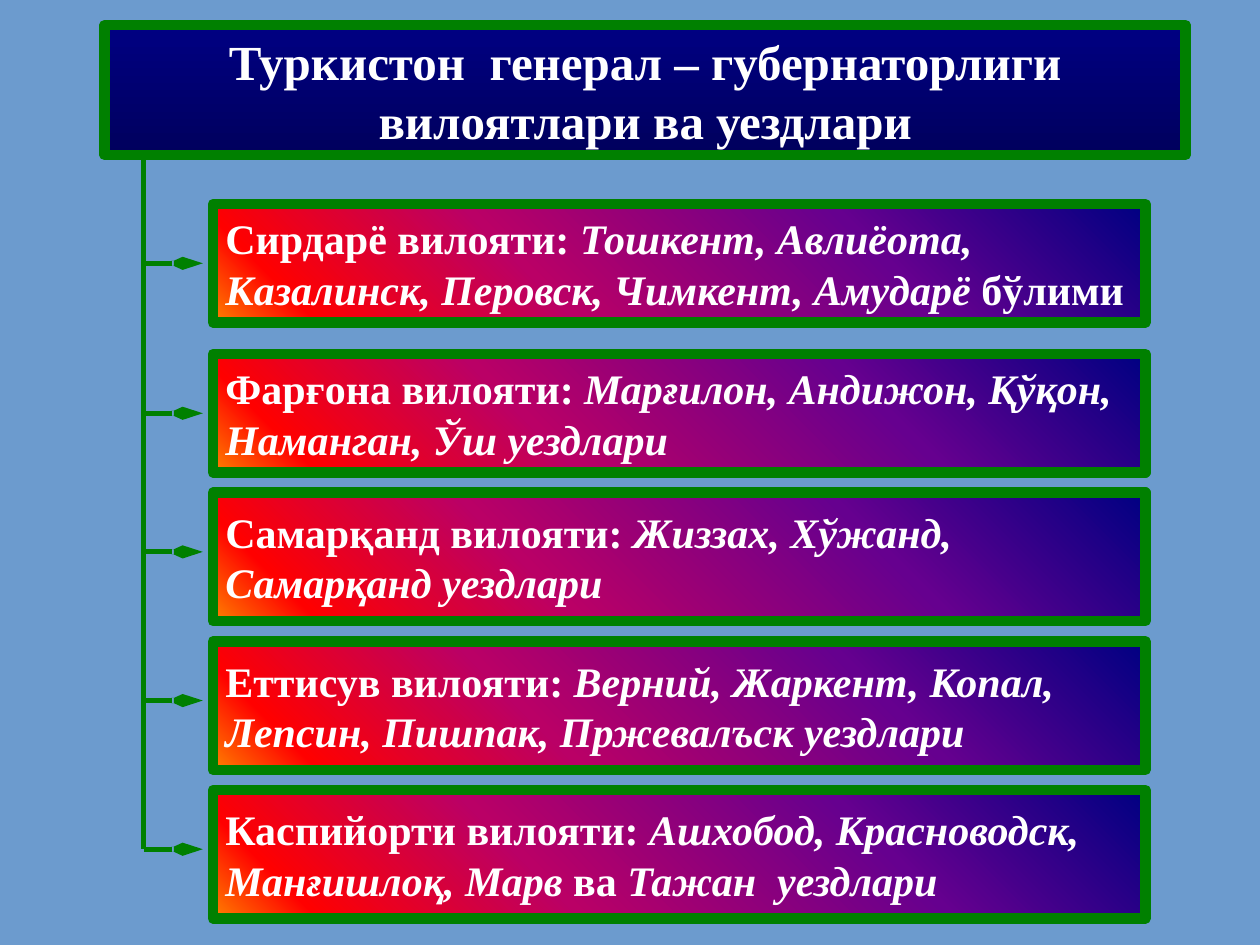
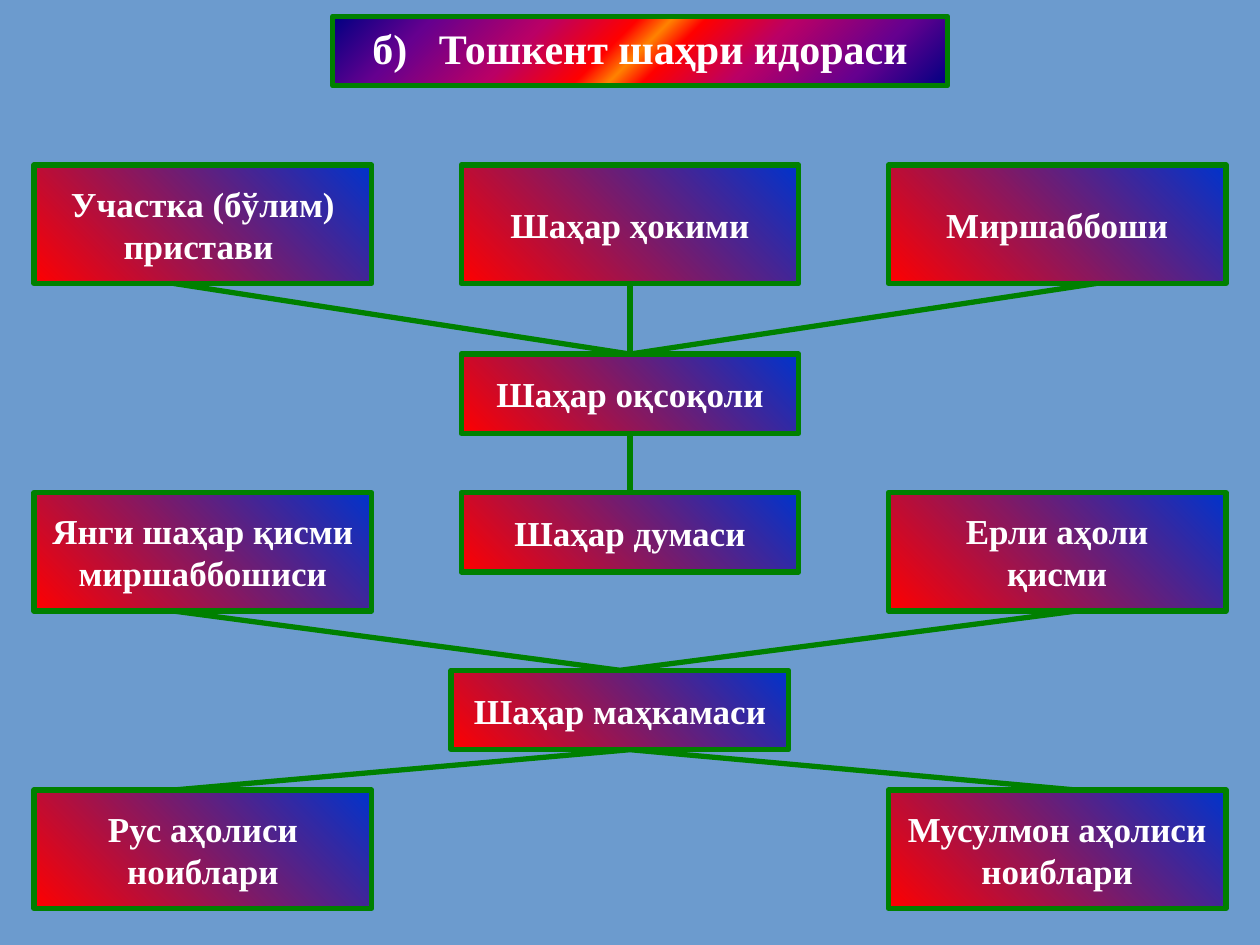
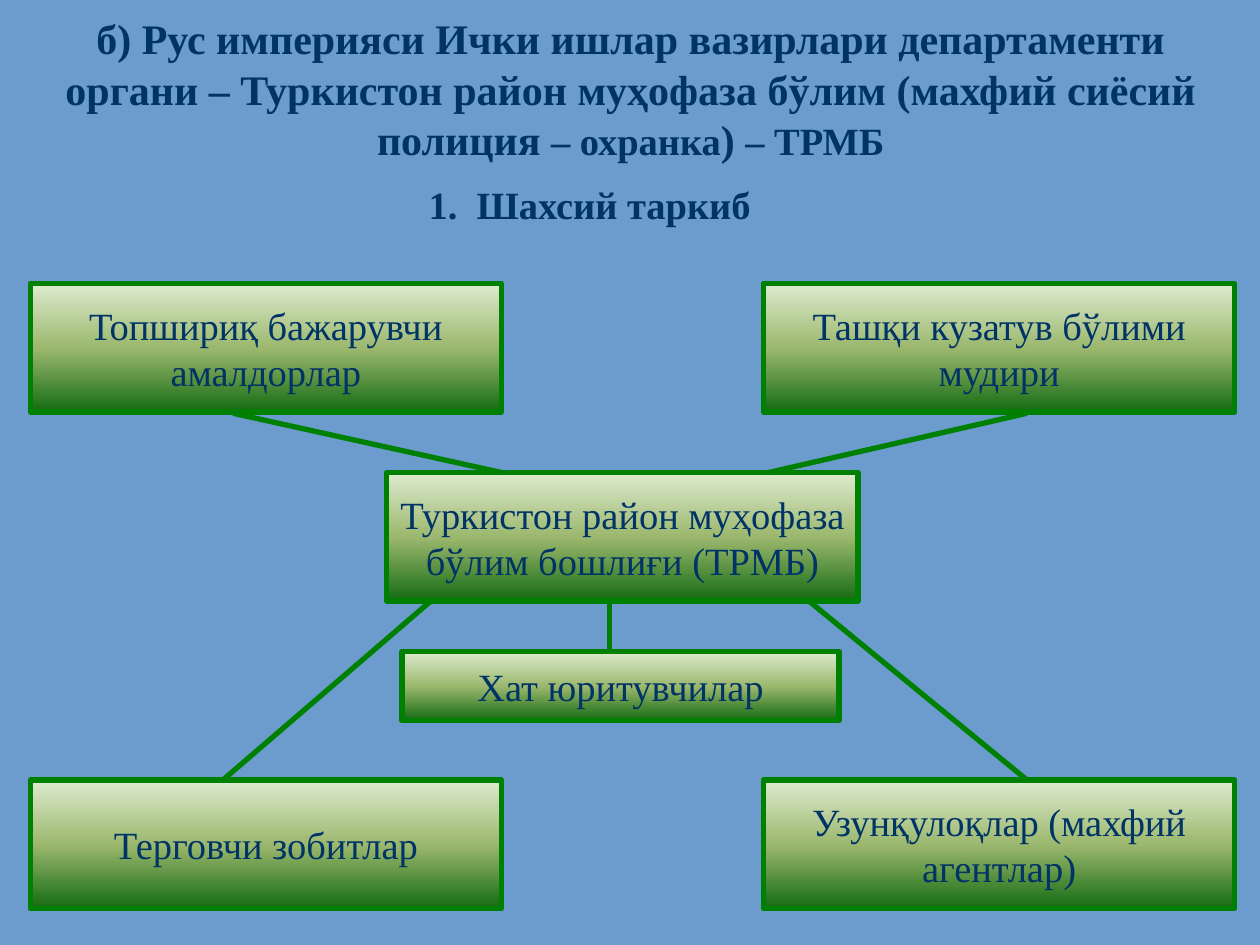
from lxml import etree
from pptx import Presentation
from pptx.dml.color import RGBColor
from pptx.enum import shapes, text
from pptx.oxml.ns import qn
from pptx.util import Inches, Pt


class Theme:
    font = "Times New Roman"
    background = "6C9BCE"
    green = "008000"
    white = "FFFFFF"
    navy = "003366"
    line, thick_line = 3, 6
    banner_size, heading_size, label_size, node_size = 28, 24, 22, 20
    # gradients: counter-clockwise angle, then (percent, colour) stops
    night = 270, [(0, "000082"), (100, "00005D")]
    sunset = 45, [(0, "FF8200"), (10, "FF0000"), (35, "BA0066"),
                  (70, "66008F"), (100, "000082")]
    flare = 315, [(0, "000082"), (15, "66008F"), (32, "BA0066"), (45, "FF0000"),
                  (50, "FF8200"), (55, "FF0000"), (68, "BA0066"), (85, "66008F"),
                  (100, "000082")]
    red_blue = 45, [(0, "FF0000"), (100, "0033CC")]
    meadow = 270, [(0, "DDEBCF"), (50, "9CB86E"), (100, "156B13")]


def dress(sp, at, lines, size, color=Theme.white, bold=True, gradient=None,
          width=Theme.line, align="CENTER", anchor="MIDDLE", wrap=False, alt_size=None):
    """Place, paint and label a shape. Text between asterisks is set in alt_size,
    or in italics when there is none."""
    sp.left, sp.top, sp.width, sp.height = map(Inches, at)
    if gradient:
        angle, stops = gradient
        sp.shadow.inherit = False
        sp.fill.gradient()
        sp.fill.gradient_angle = angle
        stop_list = sp._element.spPr.find(".//" + qn("a:gsLst"))
        stop_list.clear()
        for percent, stop_color in stops:
            stop = etree.SubElement(stop_list, qn("a:gs"), pos=str(percent * 1000))
            etree.SubElement(stop, qn("a:srgbClr"), val=stop_color)
        sp.line.color.rgb = RGBColor.from_string(Theme.green)
        sp.line.width = Pt(width)
    tf = sp.text_frame
    tf.auto_size = text.MSO_AUTO_SIZE.NONE
    tf.word_wrap = wrap
    tf.vertical_anchor = text.MSO_ANCHOR[anchor]
    for i, line in enumerate(lines):
        p = tf.add_paragraph() if i else tf.paragraphs[0]
        p.alignment = text.PP_ALIGN[align]
        for j, part in enumerate(line.split("*")):
            if not part:
                continue
            alternate = j % 2 == 1
            r = p.add_run()
            r.text = part
            r.font.name = Theme.font
            r.font.size = Pt(alt_size if alternate and alt_size else size)
            r.font.bold = bold
            r.font.italic = alternate and not alt_size
            r.font.color.rgb = RGBColor.from_string(color)
    return sp


def link(slide, start, end, upper=None, lower=None, arrow=False):
    """Draw a line, joined to the bottom of upper and the top of lower if given."""
    line = slide.shapes.add_connector(shapes.MSO_CONNECTOR.STRAIGHT,
                                      *map(Inches, (*start, *end)))
    if upper:
        line.begin_connect(upper, 2)
    if lower:
        line.end_connect(lower, 0)
    line.line.color.rgb = RGBColor.from_string(Theme.green)
    line.line.width = Pt(Theme.line)
    if arrow:
        etree.SubElement(line.line._get_or_add_ln(), qn("a:tailEnd"),
                         type="arrow", w="sm", len="lg")
    etree.SubElement(line._element.spPr, qn("a:effectLst"))


prs = Presentation()
prs.slide_width, prs.slide_height = Inches(10), Inches(7.5)
backdrop = prs.slide_master.background.fill
backdrop.solid()
backdrop.fore_color.rgb = RGBColor.from_string(Theme.background)
title_only = prs.slide_layouts[5]
RECT = shapes.MSO_SHAPE.RECTANGLE

# Slide 1: provinces and their districts
s = prs.slides.add_slide(title_only)
dress(s.shapes.title, (0.83, 0.2, 8.58, 1.03),
      ["Туркистон  генерал – губернаторлиги", "вилоятлари ва уездлари"],
      Theme.banner_size, gradient=Theme.night, width=Theme.thick_line)
provinces = [
    (1.62, 0.94, ["Сирдарё вилояти: *Тошкент, Авлиёота,",
                  "*Казалинск, Перовск, Чимкент, Амударё *бўлими"]),
    (2.81, 0.94, ["Фарғона вилояти: *Марғилон, Андижон, Қўқон,",
                  "*Наманган, Ўш уездлари"]),
    (3.91, 1.02, ["Самарқанд вилояти: *Жиззах, Хўжанд,", "*Самарқанд уездлари"]),
    (5.09, 1.02, ["Еттисув вилояти: *Верний, Жаркент, Копал,",
                  "*Лепсин, Пишпак, Пржевалъск уездлари"]),
    (6.27, 1.02, ["Каспийорти вилояти: *Ашхобод, Красноводск,",
                  "*Манғишлоқ, Марв *ва *Тажан  уездлари"]),
]
for top, height, lines in provinces:
    sp = s.shapes.add_shape(RECT, 0, 0, 0, 0)
    dress(sp, (1.69, top, 7.4, height), lines, Theme.heading_size,
          gradient=Theme.sunset, width=Theme.thick_line, align="LEFT")
trunk_x, arrow_drop = 1.14, 0.47
link(s, (trunk_x, 1.23), (trunk_x, provinces[-1][0] + arrow_drop))
for top, _, _ in provinces:
    y = top + arrow_drop
    link(s, (trunk_x, y), (1.61, y), arrow=True)

# Slide 2: city administration
s = prs.slides.add_slide(title_only)
dress(s.shapes.title, (2.64, 0.13, 4.88, 0.55), ["б)   Тошкент шаҳри идораси"],
      Theme.heading_size, gradient=Theme.flare, anchor="TOP", wrap=True)
left, middle, right = (0.27 + 3.39 * column for column in range(3))
tall, low = 0.94, 0.63
offices = {}
for name, x, y, height, lines in [
    ("bailiff", left, 1.31, tall, ["Участка (бўлим)", "пристави "]),
    ("new_town", left, 3.91, tall, ["Янги шаҳар қисми", "миршаббошиси"]),
    ("russian_deputies", left, 6.27, tall, ["Рус аҳолиси", "ноиблари"]),
    ("governor", middle, 1.31, tall, ["Шаҳар ҳокими"]),
    ("duma", middle, 3.91, low, ["Шаҳар думаси"]),
    ("police_chief", right, 1.31, tall, ["Миршаббоши"]),
    ("local_part", right, 3.91, tall, ["Ерли аҳоли", "қисми"]),
    ("muslim_deputies", right, 6.27, tall, ["Мусулмон аҳолиси", "ноиблари"]),
    ("elder", middle, 2.81, low, ["Шаҳар оқсоқоли"]),
    ("court", 3.58, 5.32, low, ["Шаҳар маҳкамаси"]),
]:
    sp = s.shapes.add_shape(RECT, 0, 0, 0, 0)
    offices[name] = dress(sp, (x, y, 2.68, height), lines, Theme.node_size,
                          gradient=Theme.red_blue)
for start, end, upper, lower in [
    ((1.38, 2.25), (5, 2.81), None, "elder"),
    ((8.7, 2.25), (5, 2.81), None, "elder"),
    ((1.38, 4.85), (4.92, 5.32), None, "court"),
    ((8.54, 4.85), (4.92, 5.32), None, "court"),
    ((1.38, 6.27), (5, 5.95), None, None),
    ((8.54, 6.27), (5, 5.95), None, None),
    ((5, 2.25), (5, 2.81), "governor", "elder"),
    ((5, 3.44), (5, 3.91), "elder", "duma"),
]:
    link(s, start, end, offices.get(upper), offices.get(lower))

# Slide 3: staff of the security department
s = prs.slides.add_slide(title_only)
dress(s.shapes.title, (0.12, 0.05, 9.77, 1.32),
      ["б) Рус империяси Ички ишлар вазирлари департаменти органи – Туркистон район "
       "муҳофаза бўлим (махфий сиёсий полиция *– охранка*) *– ТРМБ"],
      Theme.heading_size, Theme.navy, anchor="TOP", wrap=True, alt_size=Theme.label_size)
dress(s.shapes.add_textbox(0, 0, 0, 0), (2.16, 1.39, 5.04, 0.47), ["1.  Шахсий таркиб"],
      Theme.label_size, Theme.navy, anchor="TOP", wrap=True)
left, right, width, height = 0.24, 6.06, 3.74, 1.02
for at, lines in [
    ((left, 2.25, width, height), ["Топшириқ бажарувчи", "амалдорлар"]),
    ((right, 2.25, width, height), ["Ташқи кузатув бўлими", "мудири"]),
    ((3.07, 3.75, width, height), ["Туркистон район муҳофаза", "бўлим бошлиғи (ТРМБ)"]),
    ((3.19, 5.17, 3.47, 0.55), ["Хат юритувчилар"]),
    ((left, 6.19, width, height), ["Терговчи зобитлар"]),
    ((right, 6.19, width, height), ["Узунқулоқлар (махфий", "агентлар)"]),
]:
    sp = s.shapes.add_shape(RECT, 0, 0, 0, 0)
    dress(sp, at, lines, Theme.label_size, Theme.navy, bold=False, gradient=Theme.meadow)
for start, end in [
    ((1.85, 3.28), (3.98, 3.75)),
    ((8.15, 3.28), (6.1, 3.75)),
    ((1.77, 6.19), (3.42, 4.77)),
    ((8.15, 6.19), (6.42, 4.77)),
    ((4.84, 5.17), (4.84, 4.77)),
]:
    link(s, start, end)

prs.save("out.pptx")
